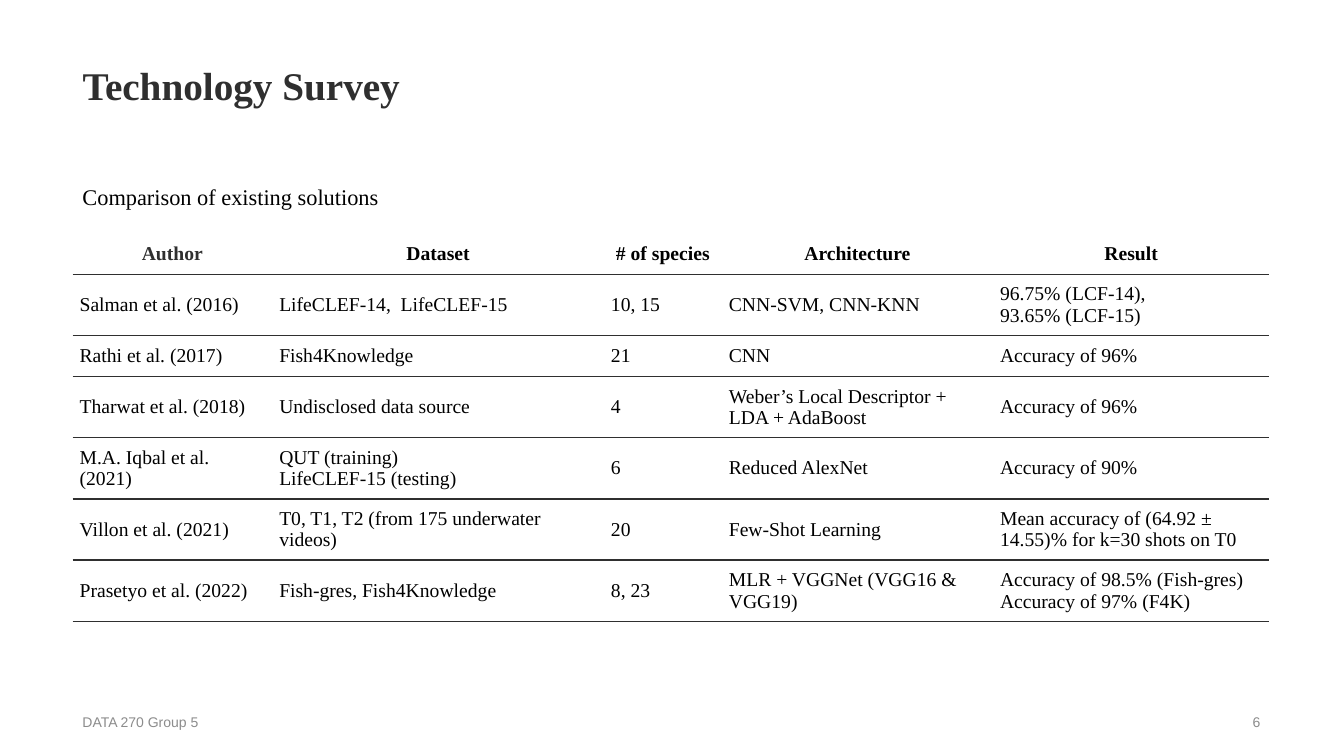
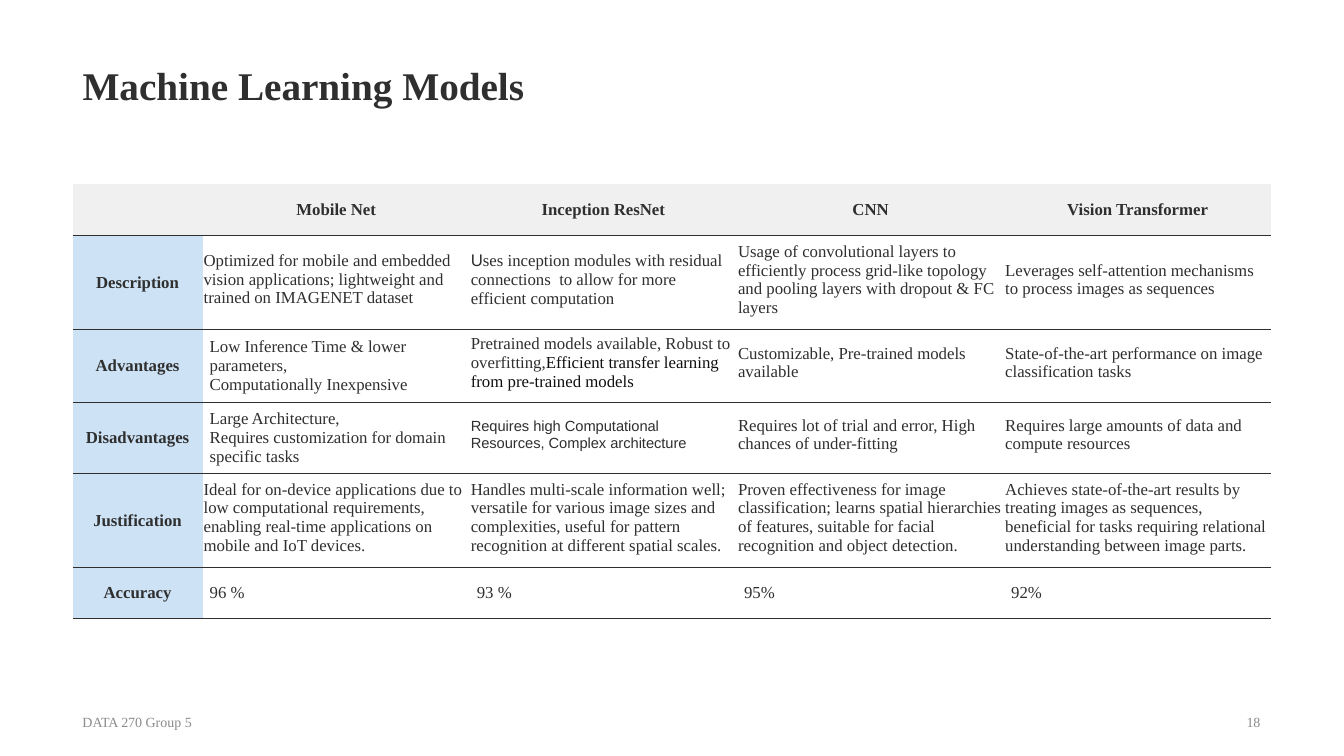
from lxml import etree
from pptx import Presentation
from pptx.dml.color import RGBColor
from pptx.enum import text as t
from pptx.oxml import ns
from pptx.util import Inches, Pt

INK = RGBColor(0x2F, 0x2F, 0x2F)
BLACK = RGBColor(0, 0, 0)
NEAR_BLACK = RGBColor(0x0F, 0x0F, 0x0F)
FOOTER_GREY = RGBColor(0x8C, 0x8C, 0x8C)
HEADER_GREY = RGBColor(0xF0, 0xF0, 0xF0)
LABEL_BLUE = RGBColor(0xCD, 0xE3, 0xF5)
SERIF, SANS = "Times New Roman", "Arial"
LEFT, WIDTH = 0.72, 11.88
FOOTER_TOP, FOOTER_WIDTH, FOOTER_HEIGHT = 7.01, 4.1, 0.3
PLAIN_TABLE_STYLE = "{2D5ABB26-0587-4C30-8999-92F81FD0307C}"
LEFT_ALIGN, CENTER, RIGHT = t.PP_ALIGN.LEFT, t.PP_ALIGN.CENTER, t.PP_ALIGN.RIGHT
MIDDLE = t.MSO_ANCHOR.MIDDLE


def add_label(slide, words, box, size, color, font=SERIF, bold=False,
              anchor=MIDDLE, align=LEFT_ALIGN):
    frame = slide.shapes.add_textbox(*[Inches(v) for v in box]).text_frame
    frame.word_wrap = True
    frame.vertical_anchor = anchor
    frame.text = words
    line = frame.paragraphs[0]
    line.alignment = align
    face = line.runs[0].font
    face.name, face.size, face.bold = font, Pt(size), bold
    face.color.rgb = color


def add_ruled_table(slide, rows, top, widths, heights, size, color, padding):
    """Table with a thin rule under each row and a bold, centred header."""
    table = slide.shapes.add_table(
        len(rows), len(widths), Inches(LEFT), Inches(top),
        Inches(sum(widths)), Inches(sum(heights))).table
    table._tbl.tblPr.find(ns.qn("a:tableStyleId")).text = PLAIN_TABLE_STYLE
    table.horz_banding = False
    for column, width in zip(table.columns, widths):
        column.width = Inches(width)
    for row, height in zip(table.rows, heights):
        row.height = Inches(height)

    for r, row in enumerate(rows):
        for c, words in enumerate(row):
            cell = table.cell(r, c)
            cell.text_frame.text = words
            cell.vertical_anchor = MIDDLE
            cell.margin_left = cell.margin_right = Inches(padding[0])
            cell.margin_top = cell.margin_bottom = Inches(padding[1])
            cell.fill.background()
            for line in cell.text_frame.paragraphs:
                line.alignment = CENTER if r == 0 else LEFT_ALIGN
                for run in line.runs:
                    run.font.name, run.font.size = SERIF, Pt(size)
                    run.font.bold = r == 0
                    run.font.color.rgb = color
            rule = etree.Element(ns.qn("a:lnB"), w=str(Pt(1)))
            fill = etree.SubElement(rule, ns.qn("a:solidFill"))
            etree.SubElement(fill, ns.qn("a:srgbClr"), val=str(INK))
            cell._tc.get_or_add_tcPr().insert(0, rule)
    return table


deck = Presentation()
deck.slide_width, deck.slide_height = Inches(13.33), Inches(7.5)

# Slides with their shared title and footer
slides = []
for title, number, footer_font in [("Technology Survey", "6", SANS),
                                   ("Machine Learning Models", "18", SERIF)]:
    slide = deck.slides.add_slide(deck.slide_layouts[6])
    add_label(slide, title, (LEFT, 0.14, WIDTH, 0.98), 28, INK, bold=True,
              anchor=t.MSO_ANCHOR.BOTTOM)
    for words, left, align in [
            ("DATA 270 Group 5", LEFT, LEFT_ALIGN),
            (number, LEFT + WIDTH - FOOTER_WIDTH, RIGHT)]:
        add_label(slide, words, (left, FOOTER_TOP, FOOTER_WIDTH, FOOTER_HEIGHT),
                  10, FOOTER_GREY, footer_font, align=align)
    slides.append(slide)
survey_slide, models_slide = slides

# Survey of existing solutions
add_label(survey_slide, "Comparison of existing solutions",
          (LEFT, 1.77, 3.6, 0.37), 16, BLACK, anchor=t.MSO_ANCHOR.TOP)
survey = [
    ("Author", "Dataset", "# of species", "Architecture", "Result"),
    ("Salman et al. (2016)", "LifeCLEF-14,  LifeCLEF-15", "10, 15",
     "CNN-SVM, CNN-KNN", "96.75% (LCF-14),\n93.65% (LCF-15)"),
    ("Rathi et al. (2017)", "Fish4Knowledge", "21", "CNN", "Accuracy of 96%"),
    ("Tharwat et al. (2018)", "Undisclosed data source", "4",
     "Weber’s Local Descriptor + LDA + AdaBoost", "Accuracy of 96%"),
    ("M.A. Iqbal et al. (2021)", "QUT (training)\nLifeCLEF-15 (testing)", "6",
     "Reduced AlexNet", "Accuracy of 90%"),
    ("Villon et al. (2021)", "T0, T1, T2 (from 175 underwater videos)", "20",
     "Few-Shot Learning",
     "Mean accuracy of (64.92 ± 14.55)% for k=30 shots on T0"),
    ("Prasetyo et al. (2022)", "Fish-gres, Fish4Knowledge", "8, 23",
     "MLR + VGGNet (VGG16 & VGG19)",
     "Accuracy of 98.5% (Fish-gres)\nAccuracy of 97% (F4K)"),
]
ONE_LINE, TWO_LINES = 0.41, 0.57
survey_table = add_ruled_table(
    survey_slide, survey, 2.31, [1.98, 3.29, 1.17, 2.69, 2.74],
    [ONE_LINE, TWO_LINES, ONE_LINE] + [TWO_LINES] * 4, 14, BLACK, (0.07, 0.07))
author_heading = survey_table.cell(0, 0).text_frame.paragraphs[0].runs[0]
author_heading.font.color.rgb = INK

# Comparison of models
models = [
    ("", "Mobile Net", "Inception ResNet", "CNN", "Vision Transformer"),
    ("Description",
     "Optimized for mobile and embedded vision applications; lightweight and "
     "trained on IMAGENET dataset",
     "U",
     "Usage of convolutional layers to efficiently process grid-like topology "
     "and pooling layers with dropout & FC layers",
     "Leverages self-attention mechanisms to process images as sequences"),
    ("Advantages",
     "Low Inference Time & lower parameters,\nComputationally Inexpensive",
     "Pretrained models available, Robust to overfitting,",
     "Customizable, Pre-trained models available",
     "State-of-the-art performance on image classification tasks"),
    ("Disadvantages",
     "Large Architecture,\nRequires customization for domain specific tasks",
     "Requires high Computational Resources, Complex architecture",
     "Requires lot of trial and error, High chances of under-fitting",
     "Requires large amounts of data and compute resources"),
    ("Justification",
     "Ideal for on-device applications due to low computational requirements, "
     "enabling real-time applications on mobile and IoT devices.",
     "Handles multi-scale information well; versatile for various image sizes "
     "and complexities, useful for pattern recognition at different spatial "
     "scales.",
     "Proven effectiveness for image classification; learns spatial "
     "hierarchies of features, suitable for facial recognition and object "
     "detection.",
     "Achieves state-of-the-art results by treating images as sequences, "
     "beneficial for tasks requiring relational understanding between image "
     "parts."),
    ("Accuracy", "96 %", "93 %", "95%", "92%"),
]
models_table = add_ruled_table(
    models_slide, models, 1.83, [1.29] + [2.65] * 4,
    [0.51, 0.93, 0.72, 0.71, 0.93, 0.51], 12, INK, (0.07, 0.03))

# Header band, label column and the cells set flush left
for r, row in enumerate(models):
    for c, words in enumerate(row):
        cell = models_table.cell(r, c)
        if r == 0:
            cell.fill.solid()
            cell.fill.fore_color.rgb = HEADER_GREY
        elif c == 0:
            cell.fill.solid()
            cell.fill.fore_color.rgb = LABEL_BLUE
            label = cell.text_frame.paragraphs[0]
            label.alignment = CENTER
            label.runs[0].font.bold = True
        elif r < len(models) - 1 and "\n" not in words:
            cell.margin_left = cell.margin_right = cell.margin_top = Inches(0.01)
            cell.margin_bottom = Inches(0.07)

# Inception ResNet cells with their own fonts and colours
resnet = [models_table.cell(r, 2).text_frame.paragraphs[0]
          for r in range(len(models))]
for r, words, color in [
        (1, "ses inception modules with residual connections  to allow for "
            "more efficient computation", INK),
        (2, "Efficient transfer learning from pre-trained models", NEAR_BLACK)]:
    run = resnet[r].add_run()
    run.text = words
    run.font.name, run.font.size, run.font.bold = SERIF, Pt(12), False
    run.font.color.rgb = color
resnet[1].runs[0].font.name = SANS
resnet[3].runs[0].font.name = SANS
resnet[3].runs[0].font.size = Pt(10.5)

deck.save("out.pptx")
